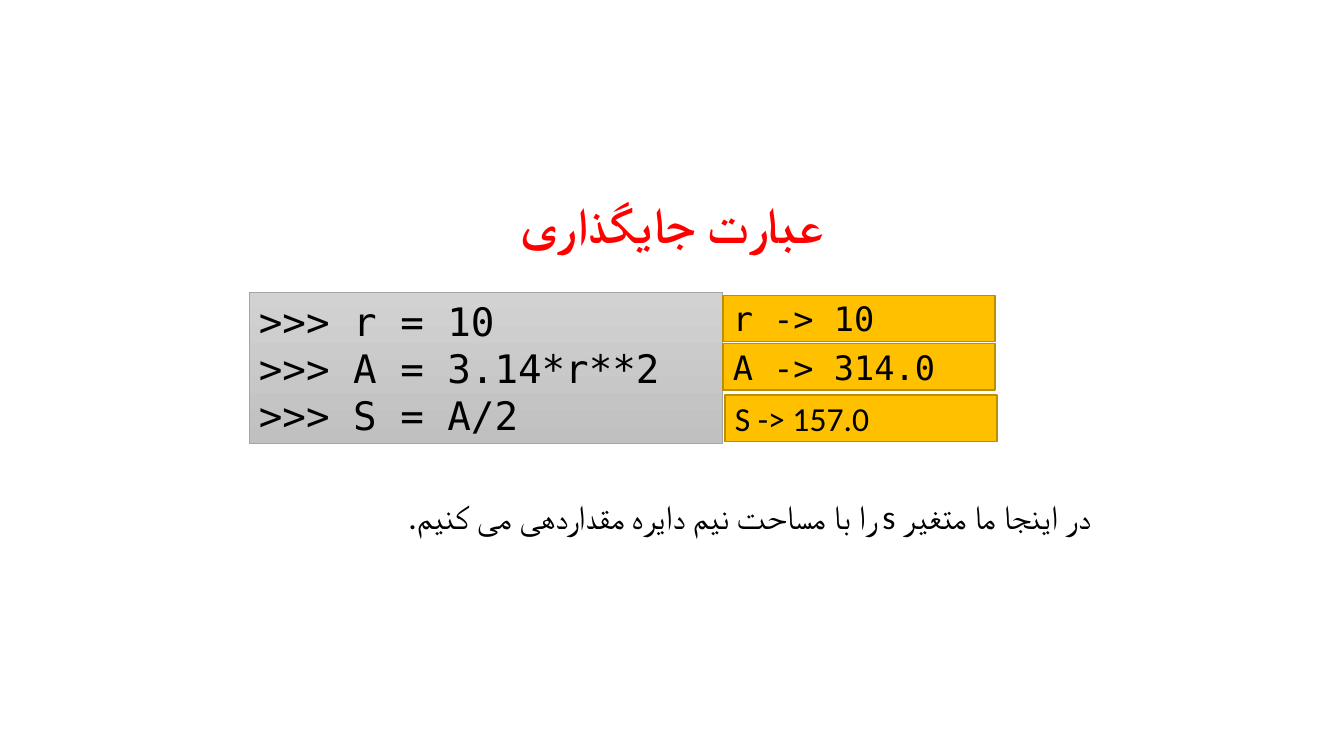
import pptx
import pptx.util
import pptx.dml.color
import pptx.enum.shapes
import pptx.enum.text
import pptx.oxml.ns
from lxml import etree

Inches = pptx.util.Inches
Pt = pptx.util.Pt
RGBColor = pptx.dml.color.RGBColor
ALIGN = pptx.enum.text.PP_ALIGN
ANCHOR = pptx.enum.text.MSO_ANCHOR

BLACK = RGBColor(0x00, 0x00, 0x00)
RED = RGBColor(0xFF, 0x00, 0x00)
GREY_TOP = RGBColor(0xD2, 0xD2, 0xD2)
GREY_BOTTOM = RGBColor(0xC0, 0xC0, 0xC0)
GREY_LINE = RGBColor(0xA5, 0xA5, 0xA5)
GOLD = RGBColor(0xFF, 0xC0, 0x00)
GOLD_LINE = RGBColor(0xBD, 0x8E, 0x00)

SANS = "Calibri"
MONO = "DejaVu Sans Mono"


def apply_format(target, values):
    for name, value in values.items():
        setattr(target, name, value)


def write_lines(shape, lines, font, color, anchor, paragraph_format):
    frame = shape.text_frame
    apply_format(frame, {"word_wrap": True, "vertical_anchor": anchor})
    for index, line in enumerate(lines):
        para = frame.paragraphs[0] if index == 0 else frame.add_paragraph()
        apply_format(para, paragraph_format)
        span = para.add_run()
        span.text = line
        apply_format(span.font, font)
        span.font.color.rgb = color


def add_persian_text(page, place, text, font, color, anchor, paragraph_format):
    box = page.shapes.add_textbox(*map(Inches, place))
    write_lines(box, [text], font, color, anchor,
                {"line_spacing": 0.9, **paragraph_format})
    # Right-to-left direction and the font for Arabic script
    para = box.text_frame.paragraphs[0]
    para._p.get_or_add_pPr().set("rtl", "1")
    properties = para.runs[0]._r.get_or_add_rPr()
    etree.SubElement(properties, pptx.oxml.ns.qn("a:cs"), typeface=font["name"])


def add_panel(page, place, lines, font, line_color, line_width):
    panel = page.shapes.add_shape(
        pptx.enum.shapes.MSO_SHAPE.RECTANGLE, *map(Inches, place))
    panel.shadow.inherit = False
    panel.line.color.rgb = line_color
    panel.line.width = Pt(line_width)
    write_lines(panel, lines, font, BLACK, ANCHOR.MIDDLE,
                {"alignment": ALIGN.LEFT})
    return panel


def add_code_panel(page, place, lines):
    panel = add_panel(page, place, lines, {"name": MONO, "size": Pt(28)},
                      GREY_LINE, 0.5)
    panel.fill.gradient()
    panel.fill.gradient_angle = 270
    for stop, color in zip(panel.fill.gradient_stops, (GREY_TOP, GREY_BOTTOM)):
        stop.color.rgb = color


def add_value_panel(page, left, top, text, font_name):
    panel = add_panel(page, (left, top, 2.7, 0.46), [text],
                      {"name": font_name, "size": Pt(24)}, GOLD_LINE, 1)
    panel.fill.solid()
    panel.fill.fore_color.rgb = GOLD


def main():
    deck = pptx.Presentation()
    apply_format(deck, {"slide_width": Inches(13.33),
                        "slide_height": Inches(7.5)})
    page = deck.slides.add_slide(deck.slide_layouts[6])

    # Title and explanation
    add_persian_text(page, (2.47, 1.83, 8.4, 0.74), "عبارت جایگذاری",
                     {"name": SANS, "size": Pt(36), "bold": True}, RED,
                     ANCHOR.BOTTOM, {"alignment": ALIGN.CENTER})
    add_persian_text(page, (2.41, 4.92, 8.51, 1.19),
                     "در اینجا ما متغیر s را با مساحت نیم دایره مقداردهی می کنیم.",
                     {"name": SANS, "size": Pt(24)}, BLACK, ANCHOR.TOP,
                     {"alignment": ALIGN.JUSTIFY, "space_before": Pt(10)})

    # Code with the value of each variable beside it
    add_code_panel(page, (2.47, 2.9, 4.7, 1.5),
                   [">>> r = 10", ">>> A = 3.14*r**2", ">>> S = A/2"])
    for left, top, text, font_name in (
            (7.17, 2.93, "r -> 10", MONO),
            (7.17, 3.41, "A -> 314.0", MONO),
            (7.19, 3.92, "S -> 157.0", SANS)):
        add_value_panel(page, left, top, text, font_name)

    deck.save("out.pptx")


if __name__ == "__main__":
    main()
